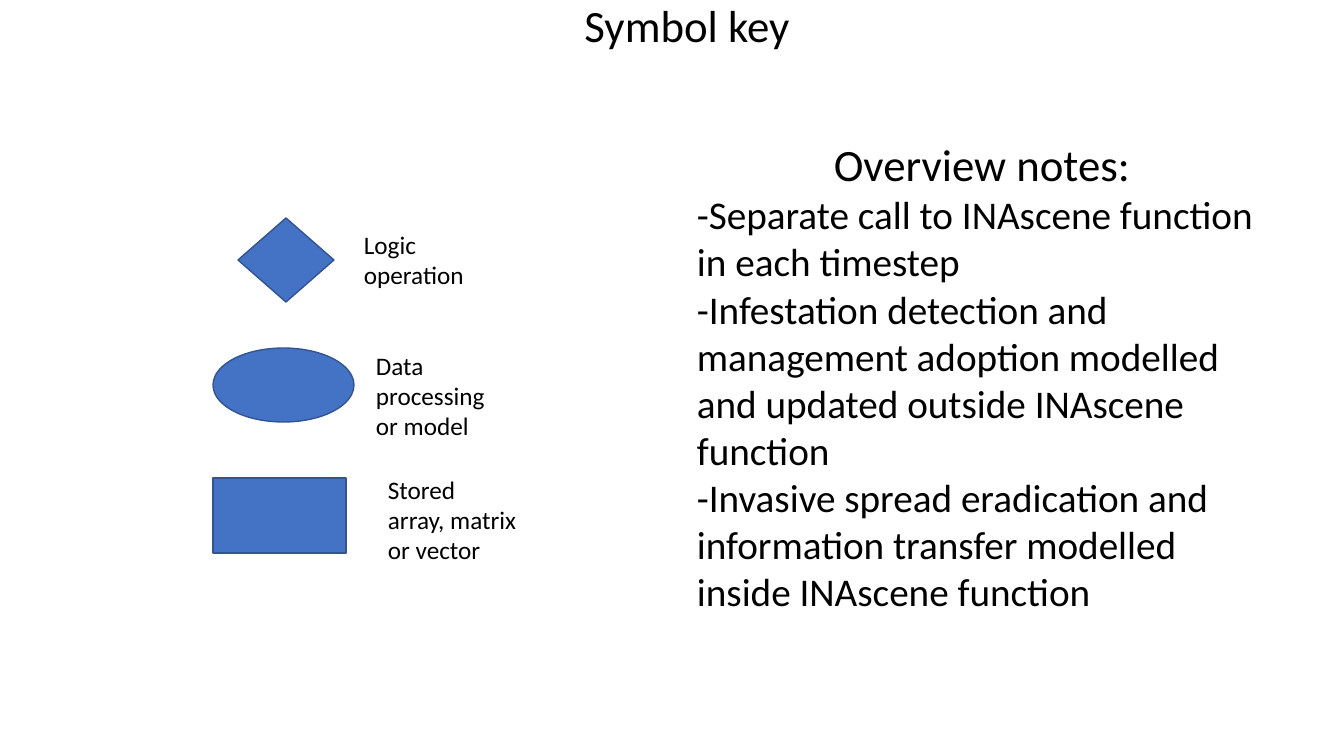
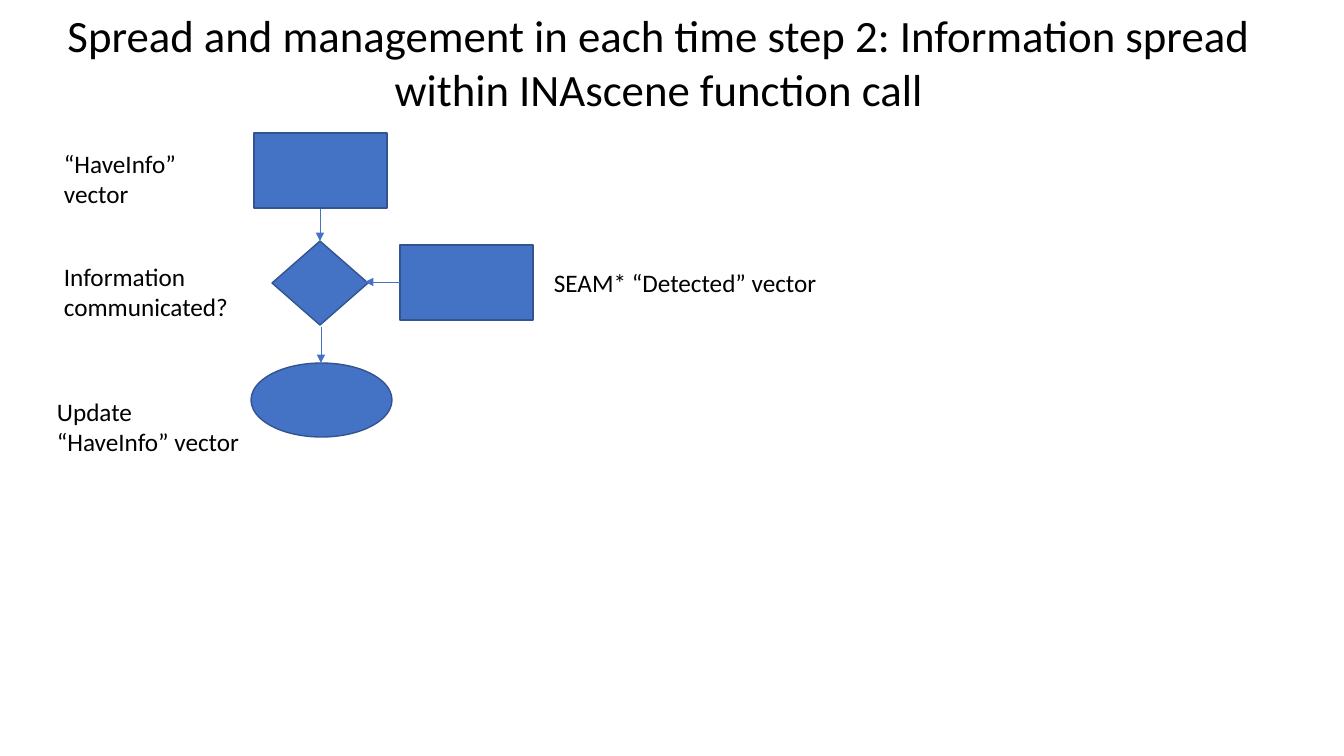
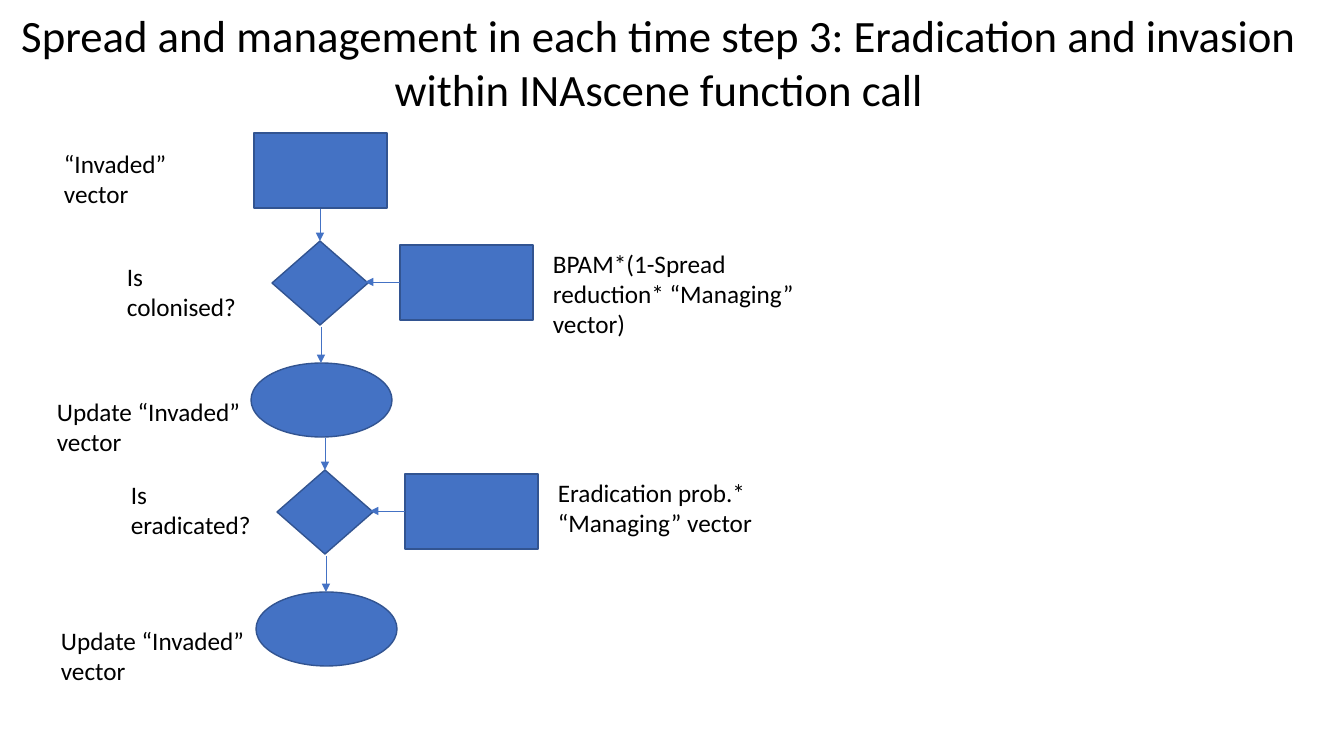
from pptx import Presentation
from pptx import util as u
from pptx.dml.color import RGBColor
from pptx.enum import shapes, text
from lxml import etree

PIXEL = 914400 / 100.8
BLUE = RGBColor(0x44, 0x72, 0xC4)
DARK_BLUE = RGBColor(0x32, 0x54, 0x91)
BLACK = RGBColor(0, 0, 0)
NAMESPACE = "{http://schemas.openxmlformats.org/drawingml/2006/main}"
LEFT, CENTER = text.PP_ALIGN.LEFT, text.PP_ALIGN.CENTER

SYMBOLS = {
    "array": (shapes.MSO_SHAPE.RECTANGLE, 133, 75),
    "logic": (shapes.MSO_SHAPE.DIAMOND, 96, 84),
    "model": (shapes.MSO_SHAPE.OVAL, 141, 74),
}
FRAME_FORMAT = {
    "word_wrap": True,
    "auto_size": text.MSO_AUTO_SIZE.NONE,
    "vertical_anchor": text.MSO_ANCHOR.TOP,
}


def add_symbol(slide, kind, left, top):
    preset, width, height = SYMBOLS[kind]
    box = [u.Emu(round(value * PIXEL)) for value in (left, top, width, height)]
    shape = slide.shapes.add_shape(preset, *box)
    shape.shadow.inherit = False
    shape.fill.solid()
    shape.fill.fore_color.rgb = BLUE
    shape.line.color.rgb = DARK_BLUE
    shape.line.width = u.Pt(1)


def write(shape, box, lines):
    for name, value in zip(("left", "top", "width", "height"), box):
        setattr(shape, name, u.Emu(round(value * PIXEL)))
    frame = shape.text_frame
    for name, value in FRAME_FORMAT.items():
        setattr(frame, name, value)
    for index, (words, size, alignment) in enumerate(lines):
        paragraph = frame.add_paragraph() if index else frame.paragraphs[0]
        paragraph.alignment = alignment
        run = paragraph.add_run()
        run.text = words
        run.font.color.rgb = BLACK
        for name, value in {"name": "Calibri", "size": u.Pt(size)}.items():
            setattr(run.font, name, value)


presentation = Presentation()
presentation.slide_width = u.Emu(round(1344 * PIXEL))
presentation.slide_height = u.Emu(round(756 * PIXEL))

WIDE_TITLE = (0, 3, 1318, 119)
PAGES = [
    {
        "title": ("Symbol key", (528, -7, 318, 65)),
        "symbols": [("logic", 238, 218), ("model", 213, 348), ("array", 213, 478)],
        "labels": [
            ("Logic operation", (354, 224, 149, 72)),
            ("Data processing or model", (366, 345, 149, 102)),
            ("Stored array, matrix or vector", (378, 469, 149, 102)),
        ],
        "stages": 0,
    },
    {
        "title": ("Spread and management in each time step 2: Information spread "
                  "within INAscene function call", WIDE_TITLE),
        "symbols": [("array", 254, 133)],
        "labels": [
            ("“HaveInfo” vector", (54, 143, 184, 72)),
            ("Information communicated?", (54, 256, 204, 72)),
            ("SEAM* “Detected” vector", (544, 262, 307, 40)),
            ("Update “HaveInfo” vector", (47, 391, 209, 72)),
        ],
        "stages": 1,
    },
    {
        "title": ("Spread and management in each time step 3: Eradication and invasion "
                  "within INAscene function call", WIDE_TITLE),
        "symbols": [("array", 254, 133)],
        "labels": [
            ("“Invaded” vector", (54, 143, 184, 72)),
            ("Is colonised?", (117, 256, 140, 72)),
            ("BPAM*(1-Spread reduction* “Managing” vector)", (543, 243, 307, 102)),
            ("Update “Invaded” vector", (47, 391, 209, 72)),
            ("Is eradicated?", (121, 474, 140, 72)),
            ("Eradication prob.* “Managing” vector", (548, 472, 307, 72)),
            ("Update “Invaded” vector", (51, 620, 209, 72)),
        ],
        "stages": 2,
    },
]
STAGE_STEP = (5, 229)
STAGE_SYMBOLS = [("logic", 272, 241), ("array", 400, 245), ("model", 251, 363)]
STAGE_ARROWS = [(320, 209, 320, 241), (400, 282, 365, 282), (321, 327, 321, 363)]

for page in PAGES:
    slide = presentation.slides.add_slide(presentation.slide_layouts[5])
    title, title_box = page["title"]
    write(slide.shapes.title, title_box, [(title, 32, CENTER)])
    for kind, left, top in page["symbols"]:
        add_symbol(slide, kind, left, top)
    for stage in range(page["stages"]):
        right, down = (stage * step for step in STAGE_STEP)
        for kind, left, top in STAGE_SYMBOLS:
            add_symbol(slide, kind, left + right, top + down)
        for x1, y1, x2, y2 in STAGE_ARROWS:
            ends = (x1 + right, y1 + down, x2 + right, y2 + down)
            arrow = slide.shapes.add_connector(
                shapes.MSO_CONNECTOR.STRAIGHT,
                *[u.Emu(round(value * PIXEL)) for value in ends])
            arrow.line.color.rgb = BLUE
            arrow.line.width = u.Pt(0.5)
            properties = arrow.element.spPr
            outline = properties.find(NAMESPACE + "ln")
            etree.SubElement(outline, NAMESPACE + "tailEnd", type="triangle")
            etree.SubElement(properties, NAMESPACE + "effectLst")
    for words, box in page["labels"]:
        write(slide.shapes.add_textbox(0, 0, 0, 0), box, [(words, 18, LEFT)])

notes = [
    ("Overview notes:", 32, CENTER),
    ("-Separate call to INAscene function in each timestep", 28, LEFT),
    ("-Infestation detection and management adoption modelled and updated "
     "outside INAscene function", 28, LEFT),
    ("-Invasive spread eradication and information transfer modelled "
     "inside INAscene function", 28, LEFT),
]
write(presentation.slides[0].shapes.add_textbox(0, 0, 0, 0), (687, 132, 590, 492), notes)

presentation.save("out.pptx")
